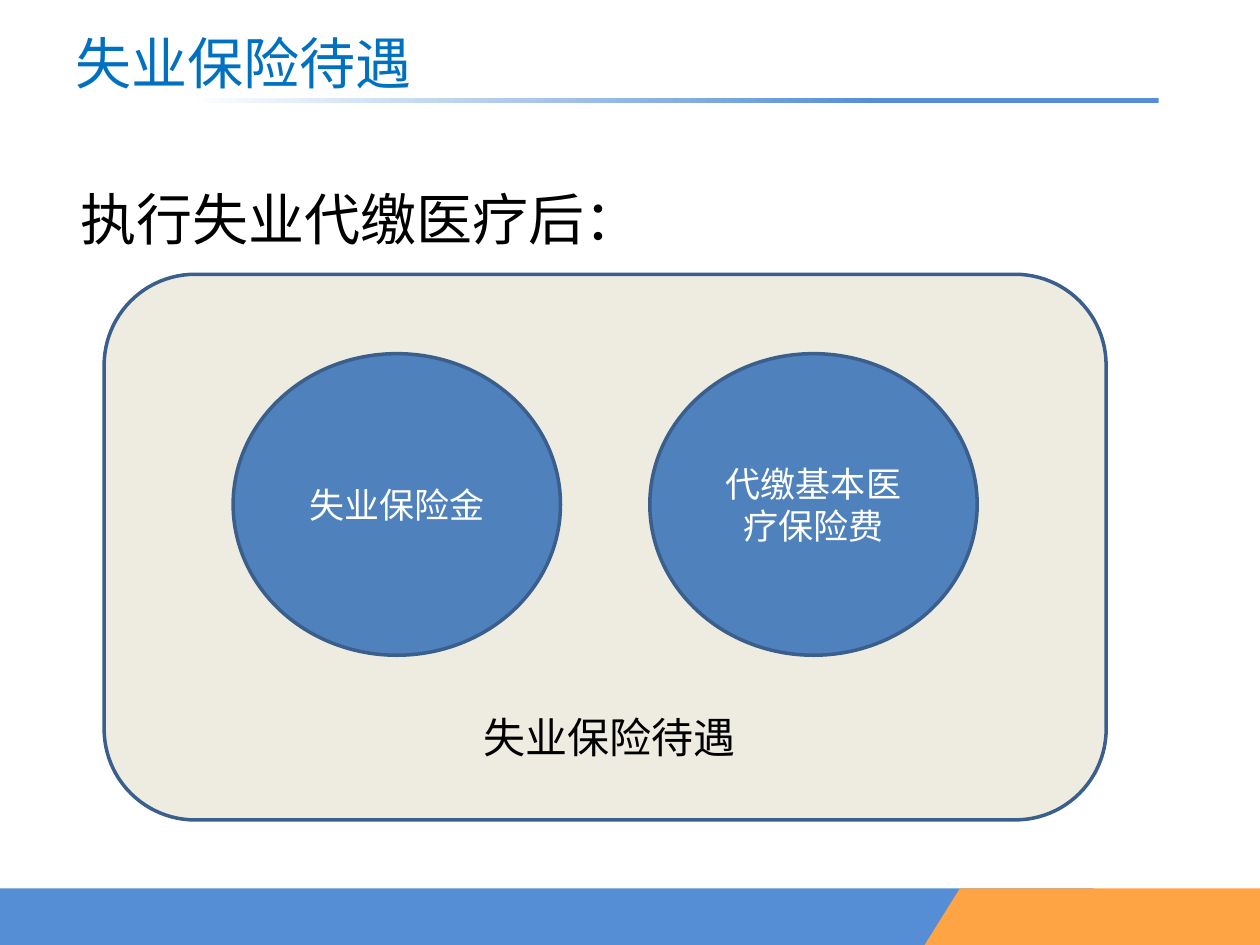
from dataclasses import dataclass

from lxml.etree import SubElement
from pptx import Presentation
from pptx.dml.color import RGBColor
from pptx.enum.shapes import MSO_SHAPE
from pptx.enum.text import MSO_ANCHOR, PP_ALIGN
from pptx.oxml.ns import qn
from pptx.util import Cm, Pt


@dataclass(frozen=True)
class Theme:
    bar: str = "558ED5"
    corner: str = "FFA445"
    panel: str = "EEECE1"
    disc: str = "4F81BD"
    edge: str = "3A5F8C"
    title: str = "0070C0"
    dark: str = "000000"
    light: str = "FFFFFF"
    head: int = 32
    label: int = 24
    small: int = 20
    line: int = 2
    cjk: str = "Noto Sans CJK SC"
    body: str = "Arial"
    inner: str = "Calibri"


class Deck:
    def __init__(self, theme, width, height):
        self.theme = theme
        self.file = Presentation()
        self.file.slide_width, self.file.slide_height = Cm(width), Cm(height)
        self.slide = self.file.slides.add_slide(self.file.slide_layouts[5])

    def letter(self, frame, text, size, color, font, align=PP_ALIGN.LEFT):
        """Fill a frame with one paragraph, naming both Latin and East Asian fonts."""
        frame.word_wrap = True
        frame.text = text
        para = frame.paragraphs[0]
        para.alignment = align
        for run in para.runs:
            run.font.size = Pt(size)
            run.font.name = font
            run.font.color.rgb = RGBColor.from_string(color)
            SubElement(run.font._element, qn("a:ea"), typeface=self.theme.cjk)
        return para

    def paint(self, shape, fill, line=None):
        shape.shadow.inherit = False
        shape.fill.solid()
        shape.fill.fore_color.rgb = RGBColor.from_string(fill)
        if line:
            shape.line.color.rgb = RGBColor.from_string(line)
            shape.line.width = Pt(self.theme.line)
        else:
            shape.line.fill.background()
        return shape

    def shape(self, kind, box, fill, line=None):
        shape = self.slide.shapes.add_shape(kind, *map(Cm, box))
        return self.paint(shape, fill, line)

    def outline(self, points, fill):
        start, *rest = [(Cm(x), Cm(y)) for x, y in points]
        build = self.slide.shapes.build_freeform(*start)
        build.add_line_segments(rest, close=True)
        return self.paint(build.convert_to_shape(), fill)

    def fade(self, box, color, clear):
        """Draw a bar that is solid at the right and fades out to the left."""
        fill = self.shape(MSO_SHAPE.RECTANGLE, box, color).fill
        fill.gradient()
        fill.gradient_angle = 180
        for stop, place, tone in zip(fill.gradient_stops, (0.29, 1), (color, clear)):
            stop.position = place
            stop.color.rgb = RGBColor.from_string(tone)

    def title(self, text, box):
        shape = self.slide.shapes.title
        shape.left, shape.top, shape.width, shape.height = map(Cm, box)
        shape.text_frame.vertical_anchor = MSO_ANCHOR.MIDDLE
        look = self.theme
        self.letter(shape.text_frame, text, look.head, look.title, look.cjk)

    def text(self, text, box, size, space=1.0):
        frame = self.slide.shapes.add_textbox(*map(Cm, box)).text_frame
        look = self.theme
        para = self.letter(frame, text, size, look.dark, look.body)
        para.line_spacing = space

    def disc(self, text, box):
        look = self.theme
        shape = self.shape(MSO_SHAPE.OVAL, box, look.disc, look.edge)
        shape.text_frame.vertical_anchor = MSO_ANCHOR.MIDDLE
        self.letter(shape.text_frame, text, look.small, look.light,
                    look.inner, PP_ALIGN.CENTER)


def main():
    look = Theme()
    wide, high = 25.4, 19.05
    deck = Deck(look, wide, high)

    foot = 17.91
    deck.shape(MSO_SHAPE.RECTANGLE, (0, foot, 22.05, high - foot), look.bar)
    deck.fade((3.76, 1.98, 19.6, 0.1), look.bar, look.light)
    deck.outline([(19.35, foot), (wide, foot), (wide, high), (18.64, high)],
                 look.corner)

    deck.title("失业保险待遇", (1.27, 0.33, 22.86, 1.83))
    deck.text("执行失业代缴医疗后：", (1.37, 2.92, 22.23, 2.31), look.head, 1.5)

    deck.shape(MSO_SHAPE.ROUNDED_RECTANGLE, (2.1, 5.53, 20.2, 11),
               look.panel, look.edge)
    for i, name in enumerate(("失业保险金", "代缴基本医疗保险费")):
        deck.disc(name, (4.7 + 8.4 * i, 7.13, 6.6, 6.08))
    deck.text("失业保险待遇", (9.5, 14.22, 6, 1.27), look.label)

    deck.file.save("out.pptx")


if __name__ == "__main__":
    main()
